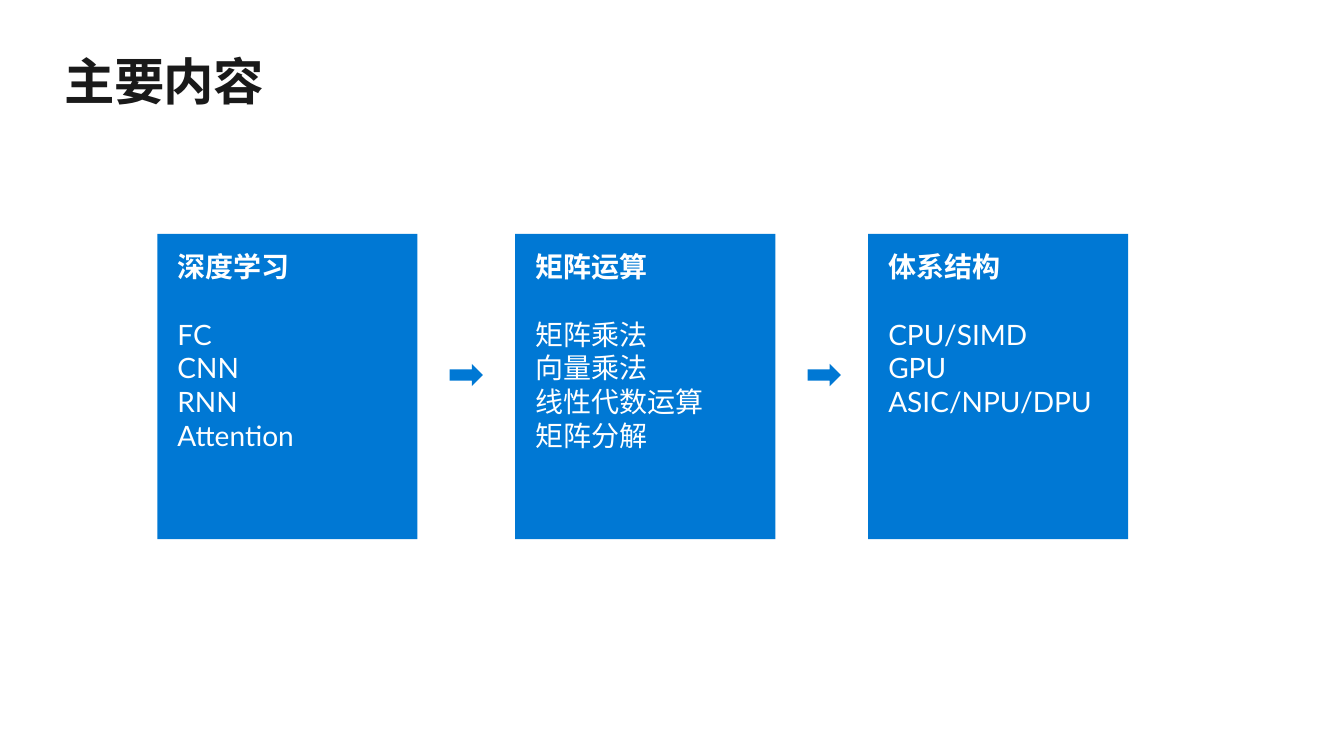
from typing import NamedTuple

from lxml.etree import SubElement
from pptx import Presentation
from pptx.dml.color import RGBColor
from pptx.enum.shapes import MSO_SHAPE
from pptx.enum.text import MSO_ANCHOR, PP_ALIGN
from pptx.oxml.ns import qn
from pptx.util import Inches, Pt

FACE = "Lato"
BLUE, WHITE, INK = "0078D4", "FFFFFF", "1A1A1A"

# Grid: ten columns and ten rows to the inch
COL = ROW = Inches(0.1)
CARD_TOP, CARD_WIDE, CARD_HIGH = 23.2, 25.8, 30.3
ARROW_TOP, ARROW_WIDE, ARROW_HIGH = 36.1, 3.3, 2.2
ARROW_GAP = 3.2

# Format values
HEAD = {"name": FACE, "size": Pt(20), "bold": True}
ITEM = HEAD | {"bold": False}
TITLE = HEAD | {"size": Pt(36)}
BARE = {"margin_left": 0, "margin_right": 0, "margin_top": 0,
        "margin_bottom": 0, "word_wrap": True,
        "vertical_anchor": MSO_ANCHOR.TOP}
INSET = BARE | {"margin_left": 2 * COL, "margin_right": 2 * COL,
                "margin_top": Inches(0.16), "margin_bottom": Inches(0.16)}


class Card(NamedTuple):
    left: float
    head: str
    items: list[str]


CARDS = [
    Card(15.6, "深度学习", ["FC", "CNN", "RNN", "Attention"]),
    Card(51.1, "矩阵运算", ["矩阵乘法", "向量乘法", "线性代数运算", "矩阵分解"]),
    Card(86.1, "体系结构", ["CPU/SIMD", "GPU", "ASIC/NPU/DPU"]),
]


def tint(code: str) -> RGBColor:
    return RGBColor.from_string(code)


def apply(part, form: dict) -> None:
    for key, val in form.items():
        setattr(part, key, val)


def place(left: float, top: float, wide: float, high: float) -> list[int]:
    return [round(left * COL), round(top * ROW),
            round(wide * COL), round(high * ROW)]


def write(para, text: str, form: dict, code: str):
    para.alignment = PP_ALIGN.LEFT
    run = para.add_run()
    run.text = text
    apply(run.font, form)
    run.font.color.rgb = tint(code)
    # Chinese text takes its line height from the same face
    props = run._r.get_or_add_rPr()
    SubElement(props, qn("a:ea"), typeface=FACE)
    return props


def block(slide, kind: MSO_SHAPE, spot: list[int]):
    shape = slide.shapes.add_shape(kind, *spot)
    shape.shadow.inherit = False
    shape.fill.solid()
    shape.fill.fore_color.rgb = tint(BLUE)
    shape.line.fill.background()
    return shape


def draw_card(slide, card: Card) -> None:
    spot = place(card.left, CARD_TOP, CARD_WIDE, CARD_HIGH)
    frame = block(slide, MSO_SHAPE.RECTANGLE, spot).text_frame
    apply(frame, INSET)
    write(frame.paragraphs[0], card.head, HEAD, WHITE)
    for row, item in enumerate(card.items):
        para = frame.add_paragraph()
        para.space_before = Pt(0 if row else 24)
        write(para, item, ITEM, WHITE)


def draw_title(slide, text: str) -> None:
    box = slide.shapes.add_textbox(*place(6.4, 5, 120.5, 6.1))
    apply(box.text_frame, BARE)
    props = write(box.text_frame.paragraphs[0], text, TITLE, INK)
    props.set("spc", "-50")


def main() -> None:
    deck = Presentation()
    apply(deck, {"slide_width": Inches(13.33), "slide_height": Inches(7.5)})
    slide = deck.slides.add_slide(deck.slide_layouts[6])

    draw_title(slide, "主要内容")
    for card in CARDS:
        draw_card(slide, card)

    # An arrow after each card but the last
    for card in CARDS[:-1]:
        left = card.left + CARD_WIDE + ARROW_GAP
        block(slide, MSO_SHAPE.RIGHT_ARROW,
              place(left, ARROW_TOP, ARROW_WIDE, ARROW_HIGH))

    deck.save("out.pptx")


if __name__ == "__main__":
    main()
